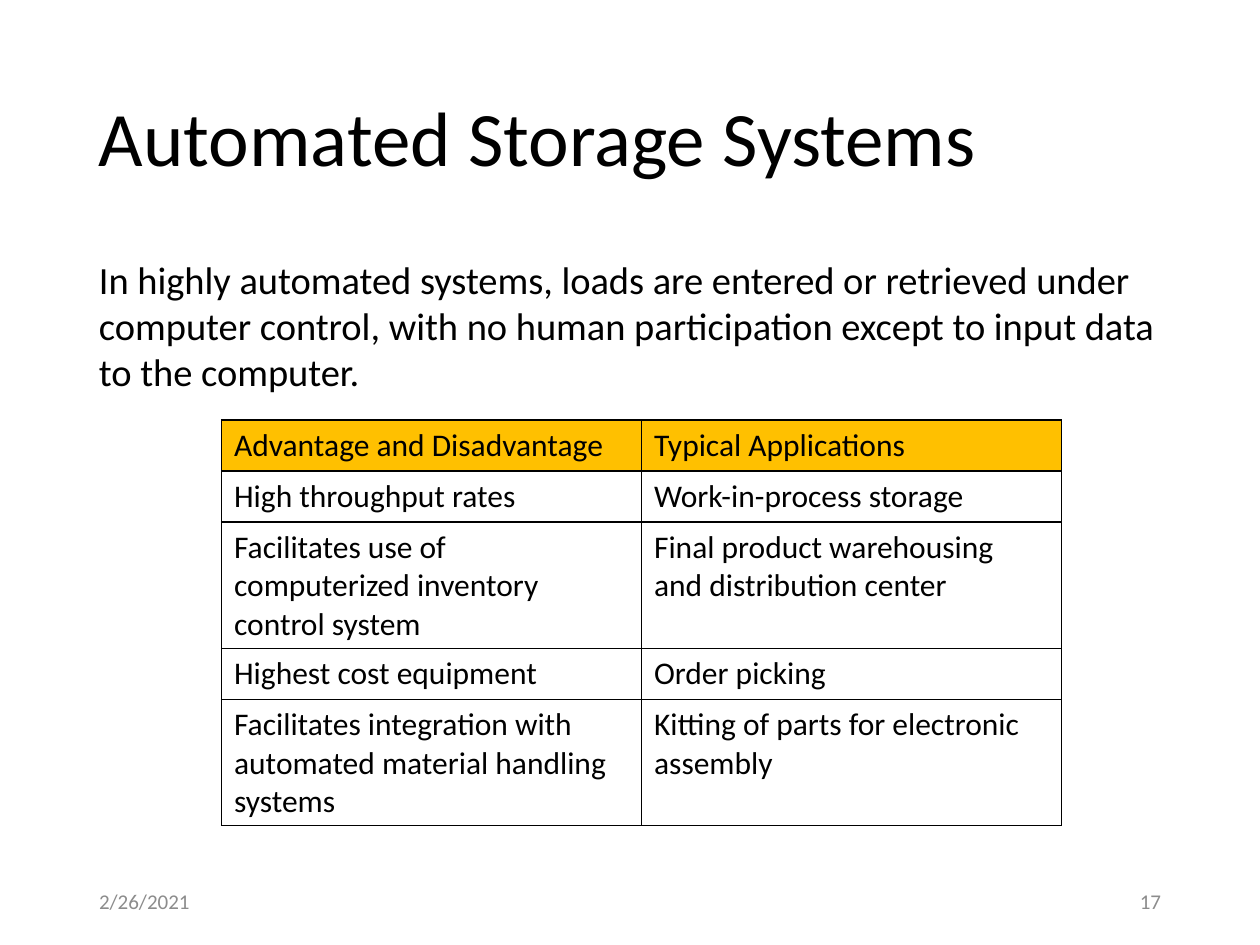
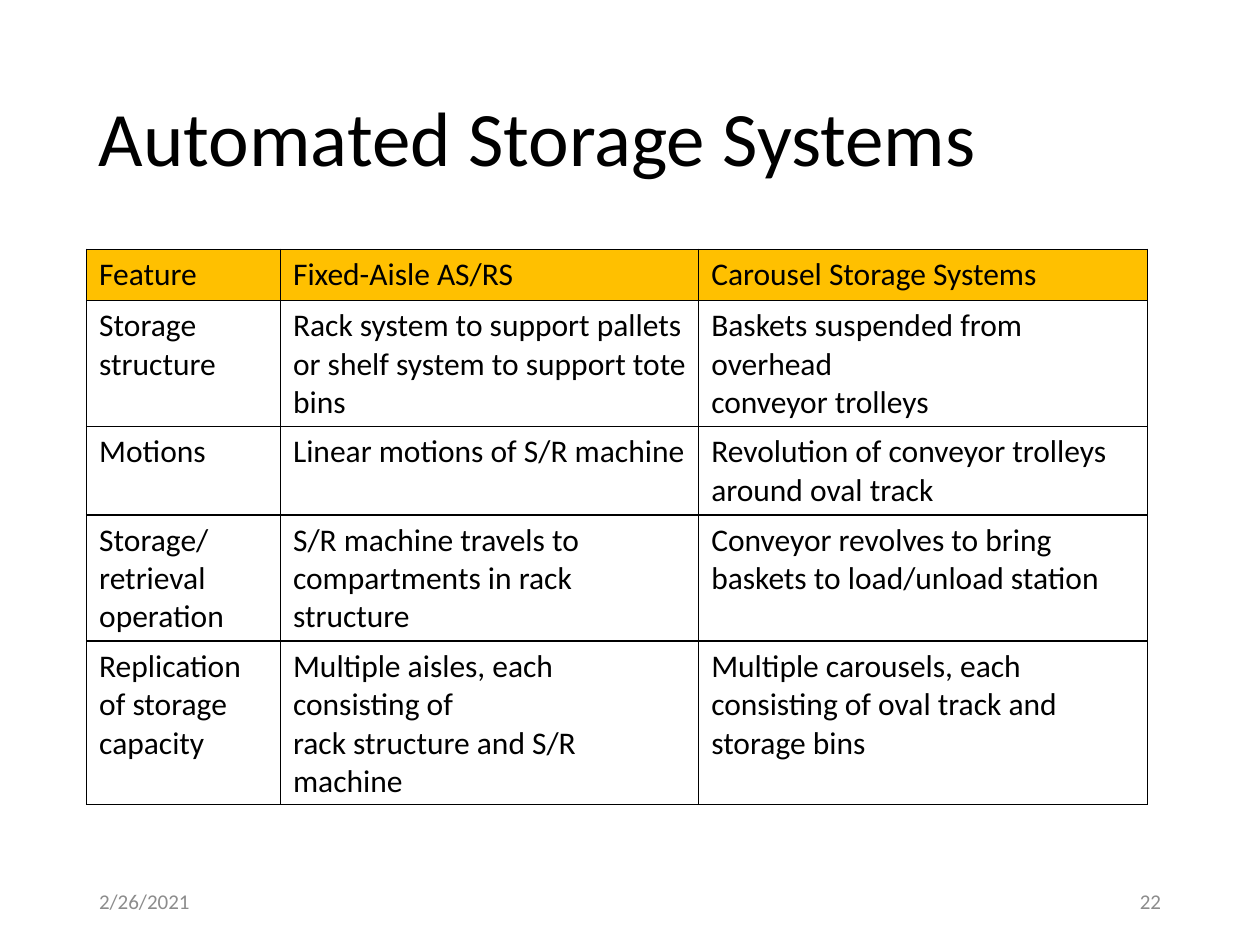
from dataclasses import dataclass

import pptx
import pptx.dml.color
import pptx.enum.text
import pptx.oxml
import pptx.oxml.ns
import pptx.slide
import pptx.util
from pptx.util import Pt

ALIGN = pptx.enum.text.PP_ALIGN
ANCHOR = pptx.enum.text.MSO_ANCHOR
COLORS = {"text": "000000", "footer": "8C8C8C", "header": "FFC000", "border": "000000"}
FONT = "Calibri"
TITLE = "Automated Storage Systems"
DATE = "2/26/2021"
LEFT, WIDTH = 49.5, 621
BODY_TOP = 142.5
FOOTER_TOP, FOOTER_WIDTH, FOOTER_HEIGHT = 500.5, 162, 28.75
ROW_HEIGHT = 29.2


@dataclass(frozen=True)
class TextStyle:
    size: float
    color: str = "text"
    align: ALIGN = ALIGN.LEFT
    anchor: ANCHOR = ANCHOR.MIDDLE
    spacing: float = 1.0


@dataclass(frozen=True)
class Label:
    text: str
    left: float
    top: float
    width: float
    height: float
    style: TextStyle


@dataclass(frozen=True)
class Grid:
    left: float
    top: float
    columns: tuple[float, ...]
    rows: tuple[tuple[str, ...], ...]


@dataclass(frozen=True)
class Page:
    number: int
    grid: Grid
    intro: str = ""


TITLE_STYLE = TextStyle(44, spacing=0.9)
BODY_STYLE = TextStyle(22, anchor=ANCHOR.TOP)
CELL_STYLE = TextStyle(18, anchor=ANCHOR.TOP)
DATE_STYLE = TextStyle(12, "footer")
NUMBER_STYLE = TextStyle(12, "footer", ALIGN.RIGHT)

PAGES = (
    Page(
        17,
        Grid(126.6, 240, (240, 240), (
            ("Advantage and Disadvantage", "Typical Applications"),
            ("High throughput rates", "Work-in-process storage"),
            ("Facilitates use of computerized inventory control system",
             "Final product warehousing and distribution center"),
            ("Highest cost equipment", "Order picking"),
            ("Facilitates integration with automated material handling systems",
             "Kitting of parts for electronic assembly"),
        )),
        "In highly automated systems, loads are entered or retrieved under computer control, "
        "with no human participation except to input data to the computer.",
    ),
    Page(
        22,
        Grid(LEFT, BODY_TOP, (110.8, 239, 256.4), (
            ("Feature", "Fixed-Aisle AS/RS", "Carousel Storage Systems"),
            ("Storage structure",
             "Rack system to support pallets or shelf system to support tote bins",
             "Baskets suspended from overhead\nconveyor trolleys"),
            ("Motions", "Linear motions of S/R machine",
             "Revolution of conveyor trolleys around oval track"),
            ("Storage/retrieval operation",
             "S/R machine travels to compartments in rack structure",
             "Conveyor revolves to bring baskets to load/unload station"),
            ("Replication of storage capacity",
             "Multiple aisles, each consisting of\nrack structure and S/R machine",
             "Multiple carousels, each consisting of oval track and storage bins"),
        )),
    ),
)


def rgb(name: str) -> pptx.dml.color.RGBColor:
    return pptx.dml.color.RGBColor.from_string(COLORS[name])


def write(tf, text: str, style: TextStyle) -> None:
    tf.text = text
    for p in tf.paragraphs:
        p.alignment = style.align
        p.line_spacing = style.spacing
        for r in p.runs:
            for key, value in {"name": FONT, "size": Pt(style.size)}.items():
                setattr(r.font, key, value)
            r.font.color.rgb = rgb(style.color)


def add_label(s: pptx.slide.Slide, label: Label) -> None:
    sp = s.shapes.add_textbox(*map(Pt, (label.left, label.top, label.width, label.height)))
    tf = sp.text_frame
    for key, value in {"word_wrap": True, "vertical_anchor": label.style.anchor}.items():
        setattr(tf, key, value)
    write(tf, label.text, label.style)


def add_borders(cell) -> None:
    tc_pr = cell._tc.get_or_add_tcPr()
    for i, side in enumerate(("lnL", "lnR", "lnT", "lnB")):
        tc_pr.insert(i, pptx.oxml.parse_xml(
            f'<a:{side} {pptx.oxml.ns.nsdecls("a")} w="{Pt(1)}"><a:solidFill>'
            f'<a:srgbClr val="{COLORS["border"]}"/></a:solidFill></a:{side}>'))


def add_grid(s: pptx.slide.Slide, grid: Grid) -> None:
    count = len(grid.rows)
    size = (sum(grid.columns), count * ROW_HEIGHT)
    table = s.shapes.add_table(
        count, len(grid.columns), *map(Pt, (grid.left, grid.top, *size))).table
    for column, width in zip(table.columns, grid.columns):
        column.width = Pt(width)
    for i, texts in enumerate(grid.rows):
        table.rows[i].height = Pt(ROW_HEIGHT)
        for j, text in enumerate(texts):
            cell = table.cell(i, j)
            write(cell.text_frame, text, CELL_STYLE)
            if i == 0:
                cell.fill.solid()
                cell.fill.fore_color.rgb = rgb("header")
            else:
                cell.fill.background()
            add_borders(cell)


def add_page(prs, page: Page) -> None:
    s = prs.slides.add_slide(prs.slide_layouts[6])
    labels = [
        Label(TITLE, LEFT, 28.75, WIDTH, 104.4, TITLE_STYLE),
        Label(DATE, LEFT, FOOTER_TOP, FOOTER_WIDTH, FOOTER_HEIGHT, DATE_STYLE),
        Label(str(page.number), LEFT + WIDTH - FOOTER_WIDTH, FOOTER_TOP,
              FOOTER_WIDTH, FOOTER_HEIGHT, NUMBER_STYLE),
    ]
    if page.intro:
        labels.append(Label(page.intro, LEFT, BODY_TOP, WIDTH, 87, BODY_STYLE))
    for label in labels:
        add_label(s, label)
    add_grid(s, page.grid)


def main() -> None:
    prs = pptx.Presentation()
    for key, value in {"slide_width": Pt(720), "slide_height": Pt(540)}.items():
        setattr(prs, key, value)
    for page in PAGES:
        add_page(prs, page)
    prs.save("out.pptx")


if __name__ == "__main__":
    main()
